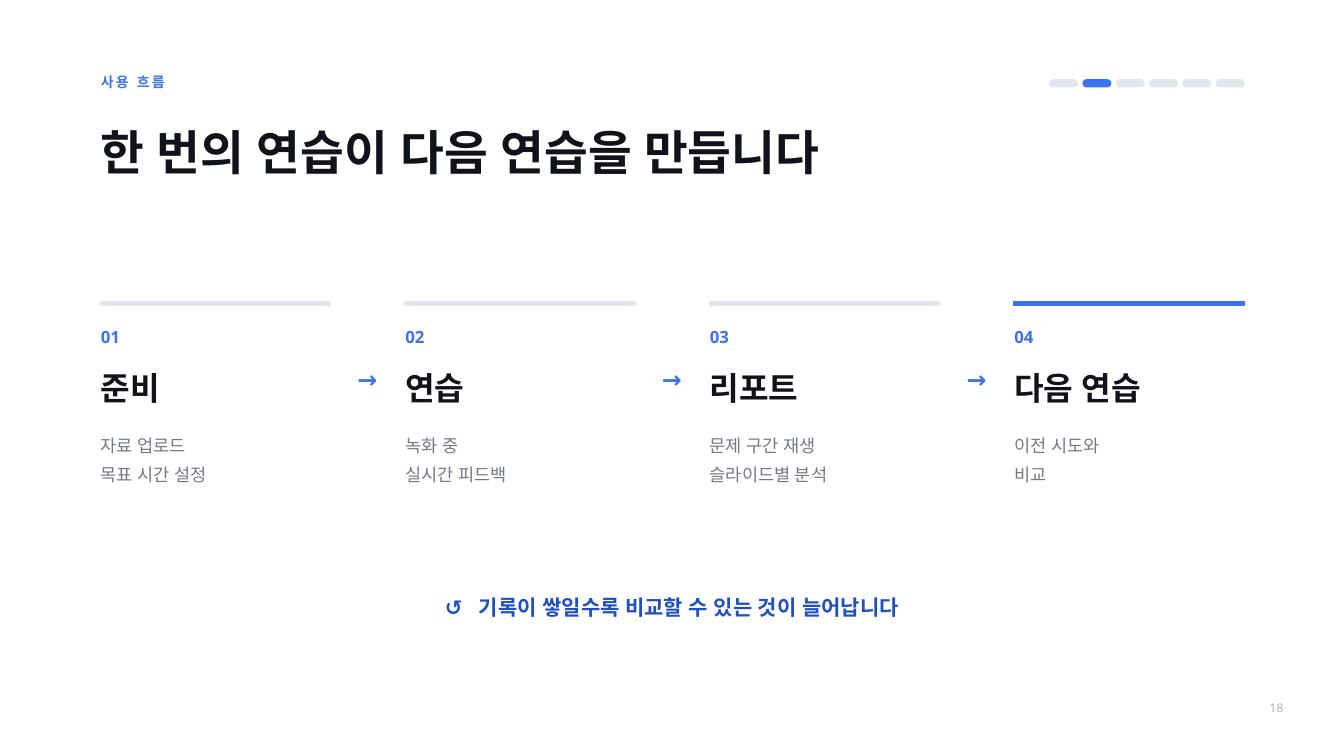
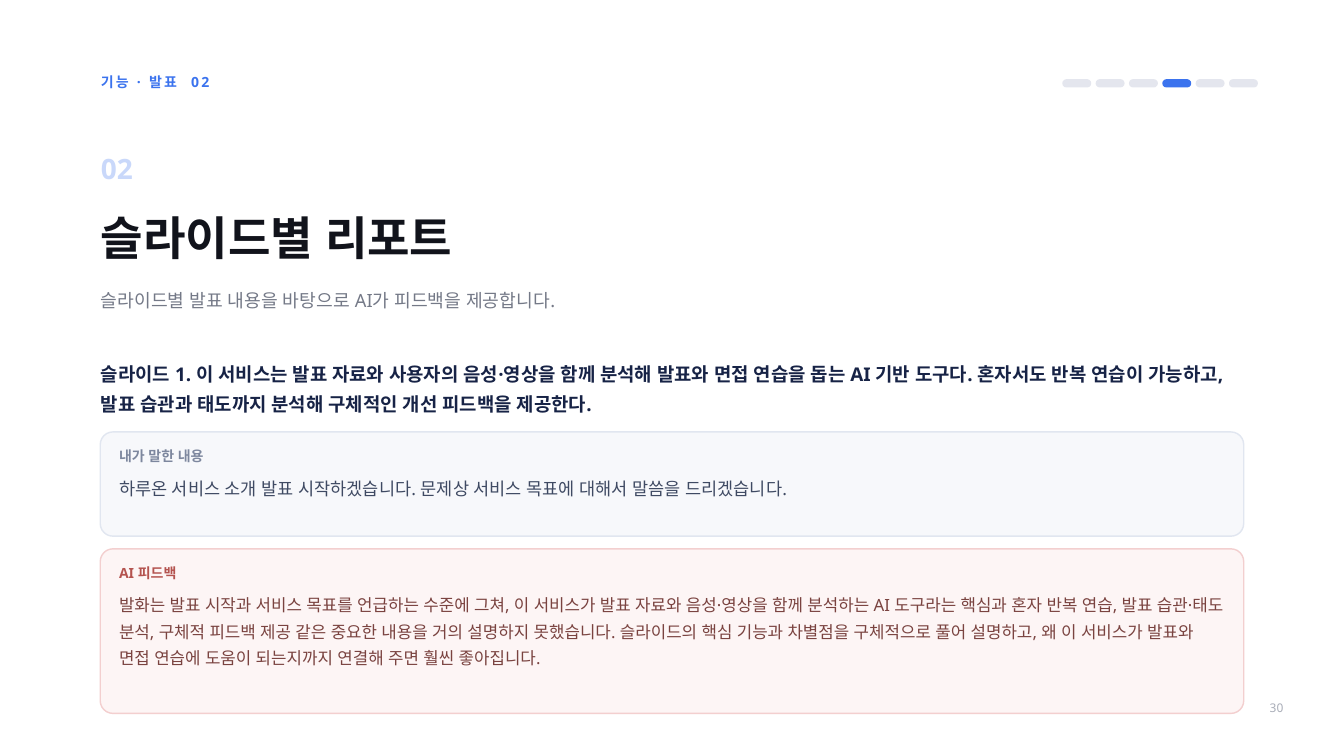
"""Build two slides: the practice flow and the per-slide report."""
from dataclasses import dataclass

from lxml import etree
from pptx import Presentation
from pptx import util as u
from pptx.dml.color import RGBColor
from pptx.enum import shapes, text
from pptx.oxml import ns

Cm, Pt = u.Cm, u.Pt
Align = text.PP_ALIGN


@dataclass(frozen=True)
class Style:
    """Type size, line height, colour, weight and tracking of one text role."""
    size: float
    leading: float
    color: str
    bold: bool = False
    tracking: float = 0


class Theme:
    """Colours, type styles and shared measures in centimetres."""
    font = "Noto Sans"
    accent, track, ink, muted = "3B73EE", "E4E6EE", "11131B", "747987"
    left, width = 3.81, 43.18
    edge, full = 3.79, 43.22

    eyebrow = Style(15, 18, accent, True, 2.4)
    title = Style(51, 73.4, ink, True)
    feature_title = Style(49.5, 59.4, ink, True)
    page_number = Style(12.8, 15.3, "A9ADB8")
    step_number = Style(18, 21.6, accent, True)
    step_name = Style(34.5, 41.4, ink, True)
    step_detail = Style(18.8, 30.4, muted)
    arrow = Style(25.5, 30.6, accent, True)
    closing = Style(22.5, 27, "1F4FC4", True)
    feature_number = Style(30, 36, "C9D8FA", True)
    subtitle = Style(19.5, 23.4, muted)
    topic = Style(20.2, 32.1, "172346", True)
    speech_label = Style(15, 19.8, "7D879E", True)
    speech = Style(18.8, 29.2, "3F4A63")
    feedback_label = Style(15, 19.8, "B4534F", True)
    feedback = Style(18, 28.5, "7A4340")


class SlideBuilder:
    """Holds the theme and the current page and draws elements on it."""

    def __init__(self, theme):
        self.theme = theme
        self.deck = Presentation()
        self.deck.slide_width, self.deck.slide_height = Cm(50.8), Cm(28.58)
        self.page = None

    def start(self, eyebrow, active, pills_left, number):
        """Add a page with its eyebrow, progress pills and page number."""
        self.page = self.deck.slides.add_slide(self.deck.slide_layouts[5])
        for index in range(6):
            color = self.theme.accent if index == active else self.theme.track
            self.panel(pills_left + 1.26 * index, 3.02, 1.04, 0.26, color, color, 0.13)
        self.label([number], self.theme.page_number, 46.61, 26.34, 1.9, 0.86,
                   Align.RIGHT, text.MSO_ANCHOR.MIDDLE)
        self.label([eyebrow], self.theme.eyebrow, self.theme.left, 2.77, 24.77, 1.07)

    def panel(self, left, top, width, height, fill, line, radius=0):
        """Draw a filled rectangle, rounded when a radius is given."""
        kind = shapes.MSO_SHAPE.ROUNDED_RECTANGLE if radius else shapes.MSO_SHAPE.RECTANGLE
        box = self.page.shapes.add_shape(kind, Cm(left), Cm(top), Cm(width), Cm(height))
        if radius:
            box.adjustments[0] = radius / min(width, height)
        box.shadow.inherit = False
        box.fill.solid()
        box.fill.fore_color.rgb = RGBColor.from_string(fill)
        box.line.color.rgb = RGBColor.from_string(line)
        box.line.width = Pt(1.5)

    def title(self, words, style, top, height):
        """Place and format the title placeholder."""
        box = self.page.shapes.title
        box.left, box.top = Cm(self.theme.left), Cm(top)
        box.width, box.height = Cm(self.theme.width), Cm(height)
        self.set_text(box.text_frame, [words], style)

    def label(self, lines, style, left, top, width, height,
              align=Align.LEFT, anchor=text.MSO_ANCHOR.TOP):
        """Add a text box with one paragraph per line."""
        box = self.page.shapes.add_textbox(Cm(left), Cm(top), Cm(width), Cm(height))
        self.set_text(box.text_frame, lines, style, align, anchor)

    def set_text(self, frame, lines, style, align=Align.LEFT, anchor=text.MSO_ANCHOR.TOP):
        """Fill a frame; a line is a string or a list of (words, tracking)."""
        frame.word_wrap = True
        frame.auto_size = text.MSO_AUTO_SIZE.NONE
        frame.vertical_anchor = anchor
        frame.margin_left = frame.margin_right = 0
        frame.margin_top = frame.margin_bottom = 0
        for index, line in enumerate(lines):
            para = frame.add_paragraph() if index else frame.paragraphs[0]
            para.alignment = align
            para.line_spacing = Pt(style.leading)
            pieces = [(line, style.tracking)] if isinstance(line, str) else line
            for words, tracking in pieces:
                self.span(para, words, style, tracking)

    def span(self, para, words, style, tracking):
        """Add one formatted run to a paragraph."""
        span = para.add_run()
        span.text = words
        span.font.name = self.theme.font
        span.font.size = Pt(style.size)
        span.font.bold = style.bold
        span.font.color.rgb = RGBColor.from_string(style.color)
        properties = span._r.get_or_add_rPr()
        etree.SubElement(properties, ns.qn("a:ea"), typeface=self.theme.font)
        if tracking:
            properties.set("spc", str(round(tracking * 100)))

    def step(self, index, name, details, last):
        """Draw one column of the flow and the arrow to the next one."""
        theme, shift = self.theme, 11.51 * index
        left = theme.left + shift
        color = theme.accent if last else theme.track
        self.panel(theme.edge + shift, 11.4, 8.71, 0.15, color, color)
        self.label([f"{index + 1:02}"], theme.step_number, left, 12.37, 3.81, 1.19)
        self.label([name], theme.step_name, left, 13.94, 8.66, 1.9)
        self.label(details, theme.step_detail, left, 16.18, 8.66, 3.63)
        if not last:
            self.label(["→"], theme.arrow, 12.85 + shift, 13.79, 2.08, 1.73, Align.CENTER)

    def card(self, top, height, fill, line, heading, heading_style, body, body_style):
        """Draw a rounded card with a heading and body text."""
        self.panel(self.theme.edge, top, self.theme.full, height, fill, line, 0.48)
        self.label([heading], heading_style, 4.5, top + 0.53, 41.78, 0.69)
        self.label([body], body_style, 4.5, top + 1.5, 41.78, height - 2)


def flow_page(builder):
    """Build the four-step practice flow."""
    theme = builder.theme
    builder.start("사용 흐름", 1, 39.68, "18")
    builder.title("한 번의 연습이 다음 연습을 만듭니다", theme.title, 4.22, 2.49)
    steps = [
        ("준비", ["자료 업로드", "목표 시간 설정"]),
        ("연습", ["녹화 중", "실시간 피드백"]),
        ("리포트", ["문제 구간 재생", "슬라이드별 분석"]),
        ("다음 연습", ["이전 시도와", "비교"]),
    ]
    for index, (name, details) in enumerate(steps):
        builder.step(index, name, details, index == len(steps) - 1)
    closing = [("↺ ", 5.85), ("기록이 쌓일수록 비교할 수 있는 것이 늘어납니다", 0)]
    builder.label([closing], theme.closing, theme.left, 22.48, theme.width, 1.73, Align.CENTER)


def report_page(builder):
    """Build the per-slide report with speech and feedback cards."""
    theme = builder.theme
    tracking = theme.eyebrow.tracking
    eyebrow = [("기능 · 발표", tracking), (" ", 8.7), ("02", tracking)]
    builder.start(eyebrow, 3, 40.18, "30")
    builder.label(["02"], theme.feature_number, theme.left, 5.72, 6.1, 1.27)
    builder.title("슬라이드별 리포트", theme.feature_title, 7.9, 2.11)
    builder.label(["슬라이드별 발표 내용을 바탕으로 AI가 피드백을 제공합니다."],
                  theme.subtitle, theme.left, 10.95, theme.width, 0.84)
    builder.label(["슬라이드 1. 이 서비스는 발표 자료와 사용자의 음성·영상을 함께 분석해 "
                   "발표와 면접 연습을 돕는 AI 기반 도구다. 혼자서도 반복 연습이 가능하고, "
                   "발표 습관과 태도까지 분석해 구체적인 개선 피드백을 제공한다."],
                  theme.topic, theme.left, 13.44, theme.width, 2.41)
    builder.card(16.33, 3.94, "F7F8FB", "E1E6F0", "내가 말한 내용", theme.speech_label,
                 "하루온 서비스 소개 발표 시작하겠습니다. "
                 "문제상 서비스 목표에 대해서 말씀을 드리겠습니다.", theme.speech)
    builder.card(20.75, 6.22, "FDF5F5", "F3CFCF", "AI 피드백", theme.feedback_label,
                 "발화는 발표 시작과 서비스 목표를 언급하는 수준에 그쳐, 이 서비스가 발표 자료와 "
                 "음성·영상을 함께 분석하는 AI 도구라는 핵심과 혼자 반복 연습, 발표 습관·태도 분석, "
                 "구체적 피드백 제공 같은 중요한 내용을 거의 설명하지 못했습니다. 슬라이드의 핵심 "
                 "기능과 차별점을 구체적으로 풀어 설명하고, 왜 이 서비스가 발표와 면접 연습에 "
                 "도움이 되는지까지 연결해 주면 훨씬 좋아집니다.", theme.feedback)


def main():
    """Build both pages and save the deck."""
    builder = SlideBuilder(Theme())
    flow_page(builder)
    report_page(builder)
    builder.deck.save("out.pptx")


if __name__ == "__main__":
    main()
